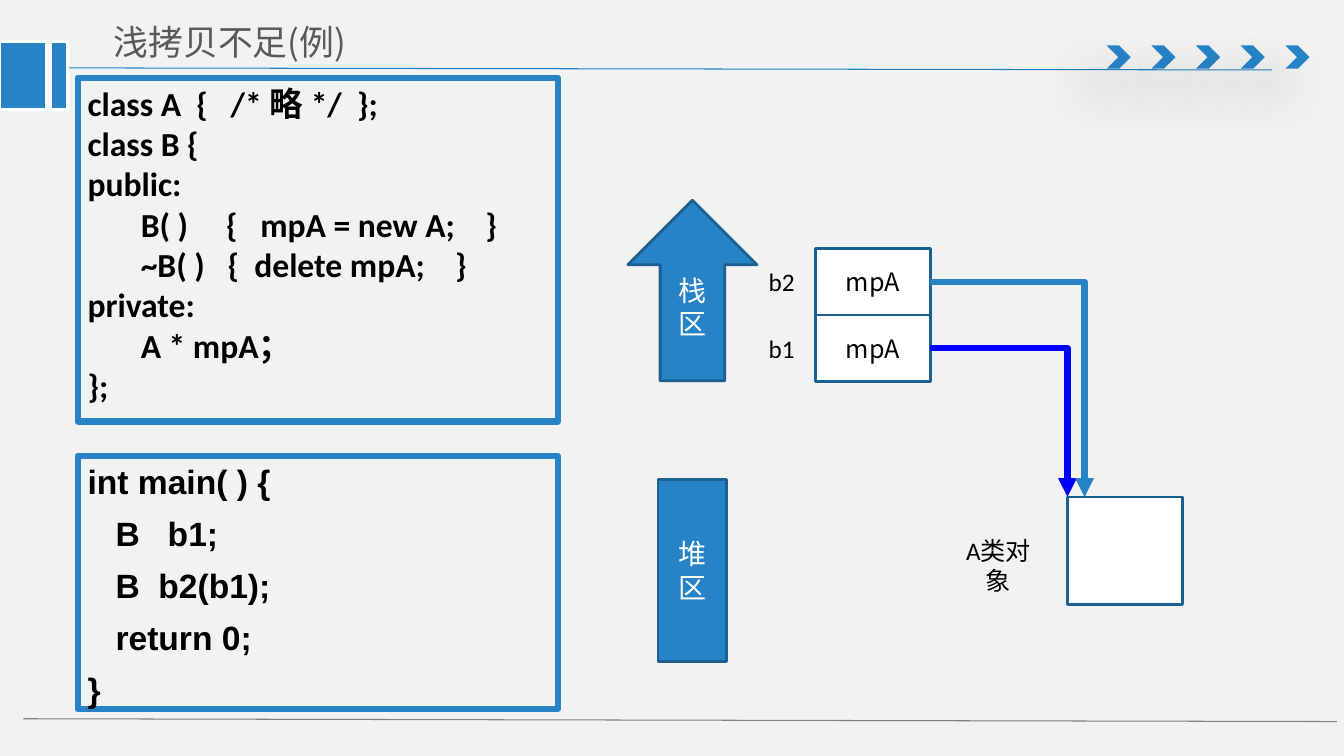
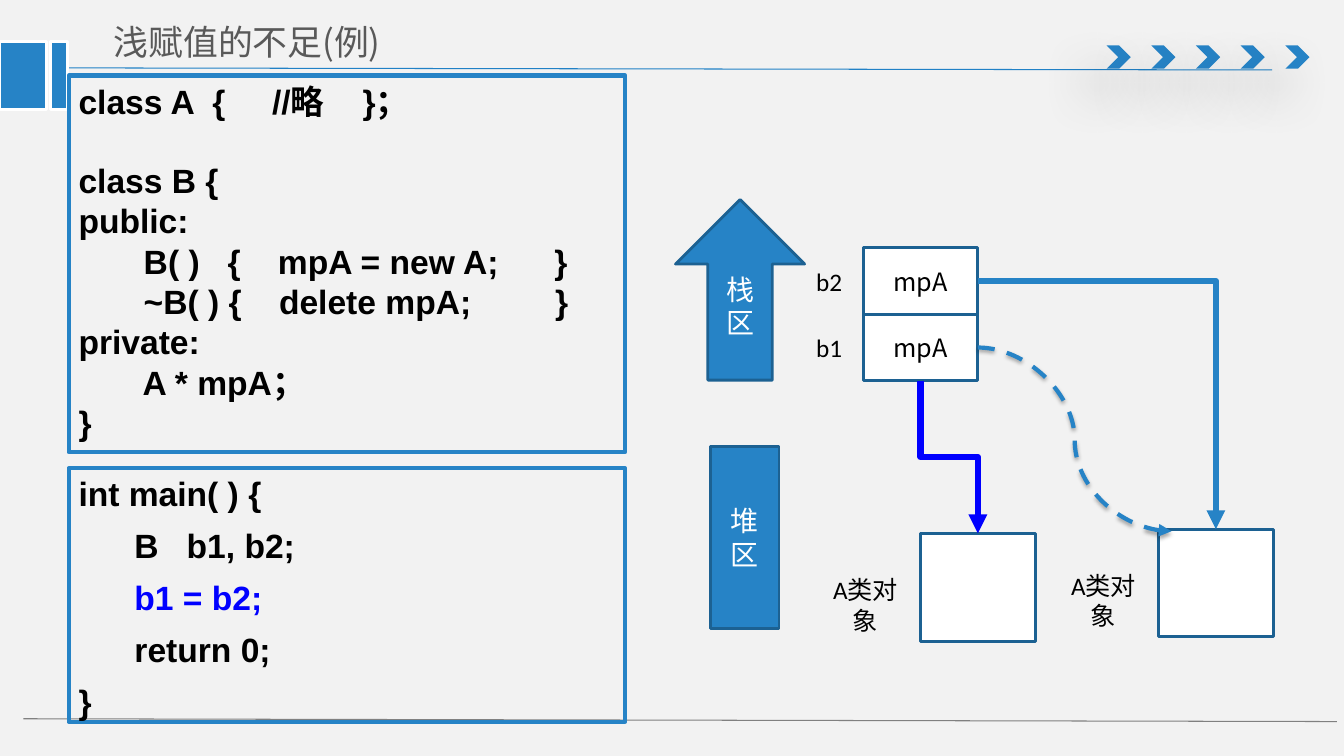
import lxml.etree
import pptx
import pptx.dml.color
import pptx.enum.dml
import pptx.enum.shapes
import pptx.enum.text
import pptx.oxml.ns
import pptx.util

Pt = pptx.util.Pt
qn = pptx.oxml.ns.qn
SHAPE = pptx.enum.shapes.MSO_SHAPE
CONNECTOR = pptx.enum.shapes.MSO_CONNECTOR
ALIGN = pptx.enum.text.PP_ALIGN
ANCHOR = pptx.enum.text.MSO_ANCHOR

COLORS = {
    "background": "F2F2F2",
    "accent": "2683C6",
    "rule": "2181C6",
    "outline": "1C6192",
    "highlight": "0000FF",
    "title": "595959",
    "footer": "808080",
    "white": "FFFFFF",
    "black": "000000",
}
CJK = "Noto Sans CJK SC"
TOP, LEFT, BOTTOM, RIGHT = range(4)
CELL_W, CELL_H = 82, 47.5
OBJECT_H = 77


def rgb(name):
    return pptx.dml.color.RGBColor.from_string(COLORS[name])


def sub(parent, tag, **attrs):
    return lxml.etree.SubElement(parent, qn(tag), {k: str(v) for k, v in attrs.items()})


def add_shadow(sp, alpha, blur, dist, angle):
    effects = sub(sp.element.spPr, "a:effectLst")
    shadow = sub(effects, "a:outerShdw", blurRad=int(Pt(blur)), dist=int(Pt(dist)),
                 dir=angle * 60000, algn="tl", rotWithShape=0)
    color = sub(shadow, "a:srgbClr", val=COLORS["black"])
    sub(color, "a:alpha", val=alpha * 1000)


def style_paragraph(p, size, font, color, bold=False):
    for r in p.runs:
        r.font.size = Pt(size)
        r.font.name = font
        r.font.bold = bold
        r.font.color.rgb = rgb(color)
        sub(r._r.get_or_add_rPr(), "a:ea", typeface=CJK)


def add_box(s, kind, box, fill=None, line=None, width=2):
    sp = s.shapes.add_shape(kind, *map(Pt, box))
    sp.shadow.inherit = False
    if fill:
        sp.fill.solid()
        sp.fill.fore_color.rgb = rgb(fill)
    else:
        sp.fill.background()
    if line:
        sp.line.color.rgb = rgb(line)
        sp.line.width = Pt(width)
    else:
        sp.line.fill.background()
    return sp


def set_label(sp, text, size, font, color, anchor=ANCHOR.MIDDLE):
    tf = sp.text_frame
    tf.word_wrap = True
    tf.vertical_anchor = anchor
    tf.text = text
    p = tf.paragraphs[0]
    p.alignment = ALIGN.CENTER
    style_paragraph(p, size, font, color)


def add_caption(s, box, text):
    sp = s.shapes.add_textbox(*map(Pt, box))
    set_label(sp, text, 18, "Calibri", "black", ANCHOR.TOP)


def add_line(s, kind, start, end, color, width):
    cx = s.shapes.add_connector(kind, *map(Pt, start + end))
    cx.line.color.rgb = rgb(color)
    cx.line.width = Pt(width)
    return cx


def add_arrow(s, kind, start, end, color, width=4.5):
    cx = add_line(s, kind, start, end, color, width)
    sub(cx.element.spPr.get_or_add_ln(), "a:tailEnd", type="triangle")
    return cx


def right_middle(sp):
    return sp.left.pt + sp.width.pt, sp.top.pt + sp.height.pt / 2


def add_corner_arrow(s, cell, end, color):
    cx = add_arrow(s, CONNECTOR.ELBOW, right_middle(cell), end, color)
    cx.element.spPr.find(qn("a:prstGeom")).set("prst", "bentConnector2")
    sub(cx.element.spPr, "a:effectLst")
    cx.begin_connect(cell, RIGHT)
    return cx


def add_step_arrow(s, cell, target):
    cx = add_arrow(s, CONNECTOR.ELBOW, (0, 0), (1, 1), "highlight")
    sub(cx.element.spPr, "a:effectLst")
    cx.begin_connect(cell, BOTTOM)
    cx.end_connect(target, TOP)
    across, down = cx.width, cx.height
    cx.left += (across - down) // 2
    cx.top += (down - across) // 2
    cx.width, cx.height = down, across
    cx.rotation = 270
    cx.element.spPr.find(qn("a:xfrm")).set("flipH", "1")


def add_former_arrow(s, cell, end):
    cx = add_arrow(s, CONNECTOR.CURVE, right_middle(cell), end, "accent", 3)
    cx.line.dash_style = pptx.enum.dml.MSO_LINE.DASH
    cx.begin_connect(cell, RIGHT)
    add_shadow(cx, 35, 3.1, 1.8, 90)


def build_layout(prs, layout):
    fill = prs.slide_master.background.fill
    fill.solid()
    fill.fore_color.rgb = rgb("background")
    s = prs.slides[0]
    parts = []
    for start, end, color in (((38.3, 48.5), (908.6, 50), "rule"),
                              ((16.8, 513.4), (955, 515.4), "footer")):
        cx = add_line(s, CONNECTOR.STRAIGHT, start, end, color, 0.75)
        sub(cx.element.spPr, "a:effectLst")
        parts.append(cx)
    for i in range(5):
        sp = s.shapes.add_shape(SHAPE.CHEVRON, Pt(790.5 + 31.9 * i), Pt(32.5), Pt(17.3), Pt(16.6))
        sp.fill.solid()
        sp.fill.fore_color.rgb = rgb("accent")
        sp.line.fill.background()
        add_shadow(sp, 38, 36, 24, 130)
        parts.append(sp)
    for x, w in ((0, 33), (36.2, 12)):
        parts.append(add_box(s, SHAPE.RECTANGLE, (x, 29.5, w, 49), "accent", "white"))
    for i, sp in enumerate(parts):
        sp.element.xpath(".//p:cNvPr")[0].set("id", str(100 + i))
        layout.shapes.element.append(sp.element)


def set_title(s, text):
    sp = s.shapes.title
    sp.left, sp.top, sp.width, sp.height = map(Pt, (71.3, 10, 333.4, 39.6))
    tf = sp.text_frame
    tf.text = text
    tf.word_wrap = True
    tf.auto_size = pptx.enum.text.MSO_AUTO_SIZE.NONE
    tf.vertical_anchor = ANCHOR.MIDDLE
    tf.margin_left = tf.margin_right = Pt(10)
    tf.margin_top = tf.margin_bottom = Pt(5)
    p = tf.paragraphs[0]
    p.alignment = ALIGN.LEFT
    style_paragraph(p, 24.9, CJK, "title")


def add_code(s, box, lines, font, border, spacing=0, gaps=None, highlighted=None):
    sp = add_box(s, SHAPE.RECTANGLE, box, line="accent", width=border)
    tf = sp.text_frame
    tf.word_wrap = True
    tf.vertical_anchor = ANCHOR.TOP
    tf.text = "\n".join(lines)
    for i, p in enumerate(tf.paragraphs):
        p.alignment = ALIGN.LEFT
        if i:
            p.space_before = Pt((gaps or {}).get(i, spacing))
        style_paragraph(p, 24, font, "highlight" if i == highlighted else "black", True)


def add_stack(s, x, y):
    arrow = add_box(s, SHAPE.UP_ARROW, (x, y, 92.2, 129), "accent", "outline")
    set_label(arrow, "栈区", 20, CJK, "white")
    cells = {}
    for i, name in enumerate(("b2", "b1")):
        row = y + 34.5 + CELL_H * i
        cell = add_box(s, SHAPE.RECTANGLE, (x + 134, row, CELL_W, CELL_H), "white", "outline")
        set_label(cell, "mpA", 18, CJK, "black")
        add_caption(s, (x + 84.3, row + 9.5, 51, 29), name)
        cells[name] = cell
    return cells


def add_heap(s, x, y):
    sp = add_box(s, SHAPE.FLOWCHART_PROCESS, (x, y, 49, 130), "accent", "outline")
    set_label(sp, "堆区", 20, CJK, "white")


def add_object(s, x, y, dx=-78.5, dy=26):
    sp = add_box(s, SHAPE.RECTANGLE, (x, y, CELL_W, OBJECT_H), "white", "outline")
    add_caption(s, (x + dx, y + dy, 78.5, 29), "A类对象")
    return sp


def build_copy_slide(s):
    set_title(s, "浅拷贝不足(例)")
    add_code(s, (55.5, 55.5, 343, 245.5), [
        "class A  {   /* 略 */  };",
        "class B {",
        "public:",
        "       B( )     {   mpA = new A;    }",
        "       ~B( )   {  delete mpA;    }",
        "private:",
        "       A * mpA；",
        "};",
    ], "Calibri", 4.5)
    add_code(s, (55.5, 325.5, 343, 181), [
        "int main( ) {",
        "   B   b1;",
        "   B  b2(b1);",
        "   return 0;",
        "}",
    ], "Arial", 4.5, 8.3)
    cells = add_stack(s, 448.5, 143)
    add_heap(s, 470, 342.5)
    add_object(s, 762.5, 355, -88.5, 24)
    add_corner_arrow(s, cells["b1"], (762.5, 355), "highlight")
    add_corner_arrow(s, cells["b2"], (774.7, 355), "accent")


def build_assignment_slide(s):
    set_title(s, "浅赋值的不足(例)")
    add_code(s, (49, 54, 397.5, 269), [
        "class A  {     //略     }；",
        "class B {",
        "public:",
        "       B( )   {    mpA = new A;      }",
        "       ~B( ) {    delete mpA;         }",
        "private:",
        "       A * mpA；",
        "}",
    ], "Arial", 3, gaps={1: 28})
    add_code(s, (49, 334.5, 397.5, 181), [
        "int main( ) {",
        "      B   b1, b2;",
        "      b1 = b2;",
        "      return 0;",
        "}",
    ], "Arial", 3, 8.3, highlighted=2)
    cells = add_stack(s, 482.5, 142.5)
    add_heap(s, 507.5, 319)
    first = add_object(s, 657.5, 381)
    second = add_object(s, 827.5, 378)
    add_step_arrow(s, cells["b1"], first)
    cx = add_corner_arrow(s, cells["b2"], (868.5, 378), "accent")
    cx.end_connect(second, TOP)
    add_former_arrow(s, cells["b1"], (836.7, 379.5))


def main():
    prs = pptx.Presentation()
    prs.slide_width, prs.slide_height = Pt(960), Pt(540)
    layout = prs.slide_layouts[5]
    slides = [prs.slides.add_slide(layout) for _ in range(2)]
    build_layout(prs, layout)
    build_copy_slide(slides[0])
    build_assignment_slide(slides[1])
    prs.save("out.pptx")


if __name__ == "__main__":
    main()
